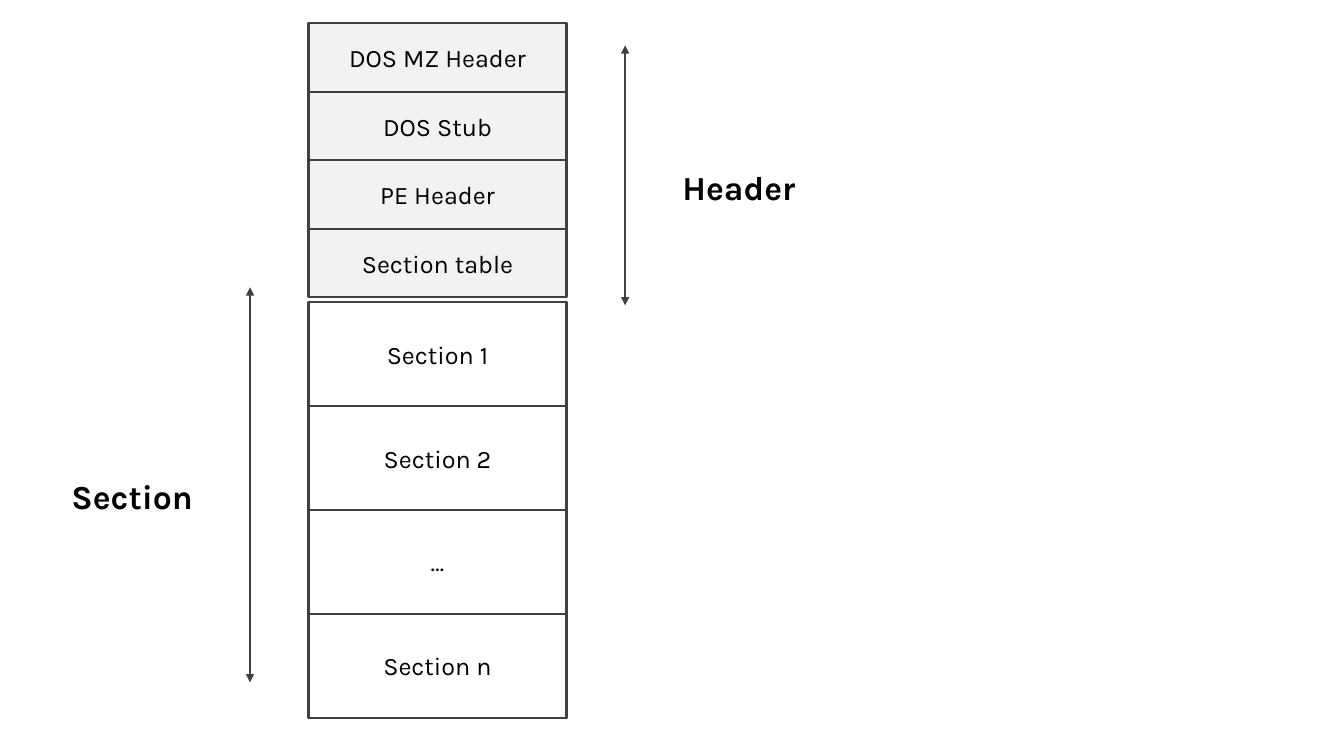
"""Draw the layout of a PE file as stacked blocks."""
from lxml import etree
from pptx import Presentation, util as u
from pptx.dml.color import RGBColor
from pptx.enum import shapes, text
from pptx.oxml.ns import qn

WIDTH, HEIGHT = 13.33, 7.5
STACK_LEFT, STACK_WIDTH = 3.06, 2.56
LINE, BLACK = "404040", "000000"
HEADER_BLOCKS = ["DOS MZ Header", "DOS Stub", "PE Header", "Section table"]
SECTION_BLOCKS = ["Section 1", "Section 2", "…", "Section n"]


def color(value):
    """Turn a hex string into a colour."""
    return RGBColor.from_string(value)


def write(tf, words, size, align, bold=False):
    """Put one run of text into a frame."""
    tf.word_wrap = True
    p = tf.paragraphs[0]
    p.alignment = align
    r = p.add_run()
    r.text = words
    r.font.name = "Karla"
    r.font.size = u.Pt(size)
    r.font.bold = bold
    r.font.color.rgb = color(BLACK)


def add_stack(s, names, top, row, fill):
    """Stack equal named blocks downwards from a top edge."""
    for i, name in enumerate(names):
        sp = s.shapes.add_shape(
            shapes.MSO_SHAPE.RECTANGLE, u.Inches(STACK_LEFT), u.Inches(top + i * row),
            u.Inches(STACK_WIDTH), u.Inches(row))
        sp.shadow.inherit = False
        sp.fill.solid()
        sp.fill.fore_color.rgb = color(fill)
        sp.line.color.rgb = color(LINE)
        sp.line.width = u.Pt(1.5)
        sp.text_frame.vertical_anchor = text.MSO_ANCHOR.MIDDLE
        write(sp.text_frame, name, 18, text.PP_ALIGN.CENTER)


def add_span(s, x, top, bottom):
    """Draw a vertical arrow with a head at both ends."""
    sp = s.shapes.add_connector(
        shapes.MSO_CONNECTOR.STRAIGHT, u.Inches(x), u.Inches(top), u.Inches(x), u.Inches(bottom))
    sp.line.color.rgb = color(LINE)
    sp.line.width = u.Pt(1.5)
    ln = sp.line._get_or_add_ln()
    for end in ("a:headEnd", "a:tailEnd"):
        etree.SubElement(ln, qn(end), type="triangle")
    etree.SubElement(sp._element.spPr, qn("a:effectLst"))


def add_label(s, words, left, top, align):
    """Add a bold label beside a span."""
    sp = s.shapes.add_textbox(u.Inches(left), u.Inches(top), u.Inches(1.91), u.Inches(0.5))
    write(sp.text_frame, words, 24, align, True)
    sp.text_frame.auto_size = text.MSO_AUTO_SIZE.SHAPE_TO_FIT_TEXT


def main():
    """Build and save the slide."""
    prs = Presentation()
    prs.slide_width, prs.slide_height = u.Inches(WIDTH), u.Inches(HEIGHT)
    s = prs.slides.add_slide(prs.slide_layouts[6])
    add_stack(s, HEADER_BLOCKS, 0.23, 0.68, "F2F2F2")
    add_stack(s, SECTION_BLOCKS, 3, 1.03, "FFFFFF")
    add_span(s, 6.2, 0.45, 3.03)
    add_label(s, "Header", 6.67, 1.61, text.PP_ALIGN.LEFT)
    add_span(s, 2.48, 2.85, 6.77)
    add_label(s, "Section", 0.1, 4.67, text.PP_ALIGN.RIGHT)
    prs.save("out.pptx")


if __name__ == "__main__":
    main()
